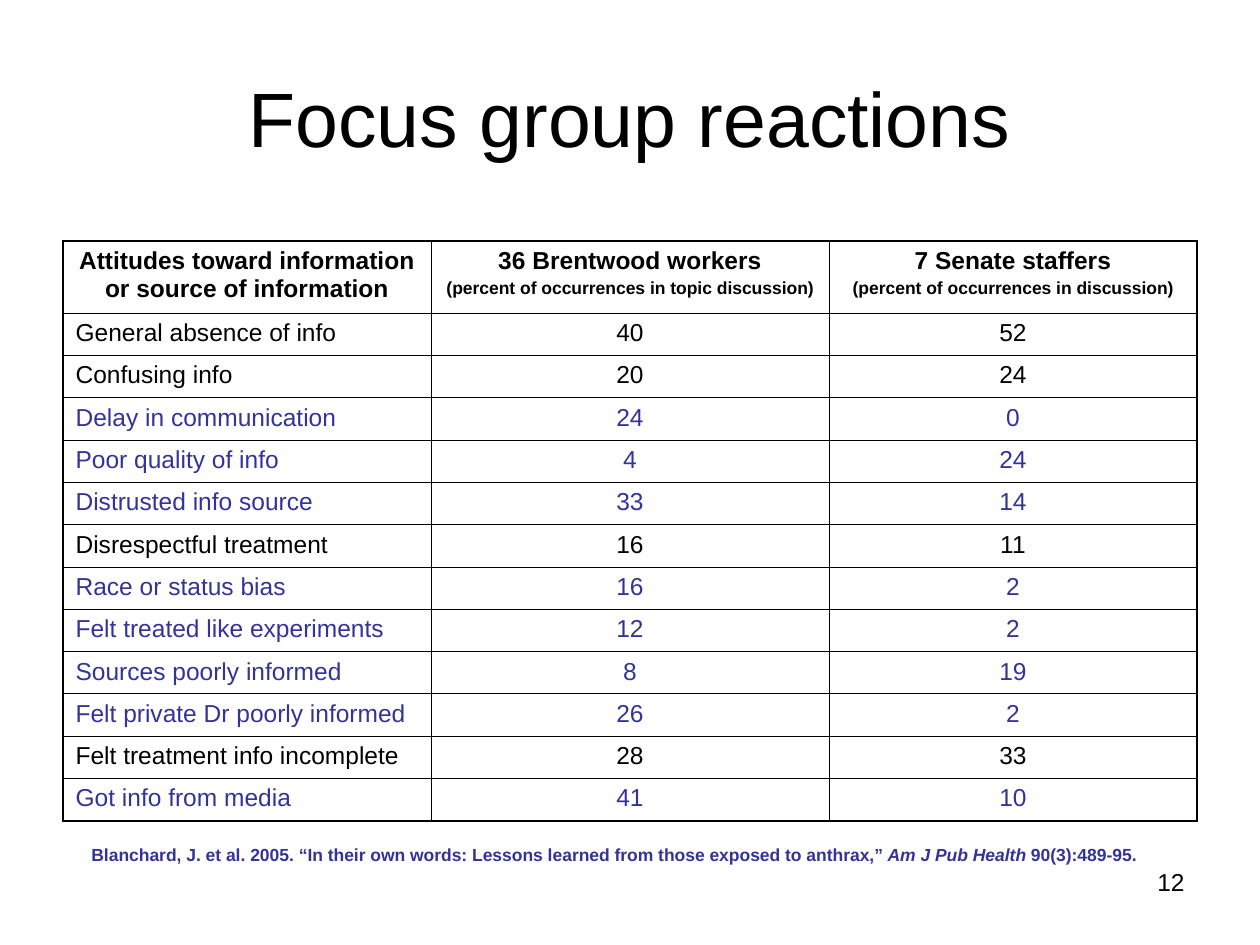
import pptx
import pptx.dml.color
import pptx.enum.text
import pptx.oxml
import pptx.oxml.ns
import pptx.util

PX = 914400 / 126
COLORS = {"black": "000000", "blue": "333399"}
ALIGN = pptx.enum.text.PP_ALIGN
THIN, THICK = 0.45, 1.08
COLUMNS = [368, 398, 368]
HEADER_HEIGHT, BODY_HEIGHT = 72, 508
HEADERS = [
    ["Attitudes toward information or source of information"],
    ["36 Brentwood workers", "(percent of occurrences in topic discussion)"],
    ["7 Senate staffers", "(percent of occurrences in discussion)"],
]
REACTIONS = [
    ("General absence of info", 40, 52, "black"),
    ("Confusing info", 20, 24, "black"),
    ("Delay in communication", 24, 0, "blue"),
    ("Poor quality of info", 4, 24, "blue"),
    ("Distrusted info source", 33, 14, "blue"),
    ("Disrespectful treatment", 16, 11, "black"),
    ("Race or status bias", 16, 2, "blue"),
    ("Felt treated like experiments", 12, 2, "blue"),
    ("Sources poorly informed", 8, 19, "blue"),
    ("Felt private Dr poorly informed", 26, 2, "blue"),
    ("Felt treatment info incomplete", 28, 33, "black"),
    ("Got info from media", 41, 10, "blue"),
]
CITATION = [
    ("Blanchard, J. et al. 2005. “In their own words: Lessons learned "
     "from those exposed to anthrax,” ", False),
    ("Am J Pub Health", True),
    (" 90(3):489-95.", False),
]


def px(n):
    """Turn pixels into EMU."""
    return pptx.util.Emu(round(n * PX))


def style(p, size, color="black", bold=False, align=ALIGN.CENTER, before=0):
    """Set the font, alignment and spacing of a paragraph."""
    p.alignment = align
    p.space_before = pptx.util.Pt(before)
    p.font.name = "Arial"
    p.font.size = pptx.util.Pt(size)
    p.font.bold = bold
    p.font.color.rgb = pptx.dml.color.RGBColor.from_string(COLORS[color])


def add_text(slide, box, runs, size, anchor=pptx.enum.text.MSO_ANCHOR.TOP, **look):
    """Add a one-paragraph text box from (text, italic) runs."""
    tf = slide.shapes.add_textbox(*map(px, box)).text_frame
    tf.word_wrap = True
    tf.vertical_anchor = anchor
    p = tf.paragraphs[0]
    style(p, size, **look)
    for text, italic in runs:
        r = p.add_run()
        r.text = text
        if italic:
            r.font.italic = True


def set_borders(cell, widths):
    """Draw the left, right, top and bottom borders of a cell."""
    tcPr = cell._tc.get_or_add_tcPr()
    for side, width in zip("LRTB", widths):
        tcPr.append(pptx.oxml.parse_xml(
            f'<a:ln{side} {pptx.oxml.ns.nsdecls("a")} w="{pptx.util.Pt(width)}">'
            f'<a:solidFill><a:srgbClr val="{COLORS["black"]}"/></a:solidFill>'
            f'</a:ln{side}>'))


def fill_cell(cell, lines, **look):
    """Write a main line and an optional small line into a cell."""
    tf = cell.text_frame
    tf.text = "\n".join(lines)
    for p, (size, before) in zip(tf.paragraphs, [(14, 3.5), (10, 2.5)]):
        style(p, size, before=before, **look)


def add_reactions_table(slide):
    """Add the table of reactions with a heavier outer frame."""
    last_row, last_col = len(REACTIONS), len(COLUMNS) - 1
    table = slide.shapes.add_table(
        last_row + 1, last_col + 1, px(63), px(241), px(sum(COLUMNS)),
        px(HEADER_HEIGHT + BODY_HEIGHT)).table
    table.first_row = table.horz_banding = False
    for column, width in zip(table.columns, COLUMNS):
        column.width = px(width)
    for i, row in enumerate(table.rows):
        row.height = px(BODY_HEIGHT / last_row if i else HEADER_HEIGHT)
        for j, cell in enumerate(row.cells):
            outer = (j == 0, j == last_col, i == 0, i == last_row)
            set_borders(cell, [THICK if edge else THIN for edge in outer])
            cell.fill.background()
            if i == 0:
                fill_cell(cell, HEADERS[j], bold=True)
            else:
                *values, color = REACTIONS[i - 1]
                fill_cell(cell, [str(values[j])], color=color,
                          align=ALIGN.CENTER if j else ALIGN.LEFT)


def main():
    """Build and save the slide."""
    prs = pptx.Presentation()
    prs.slide_width, prs.slide_height = px(1260), px(945)
    slide = prs.slides.add_slide(prs.slide_layouts[6])
    add_reactions_table(slide)
    add_text(slide, (63, 38, 1134, 157), [("Focus group reactions", False)], 44,
             anchor=pptx.enum.text.MSO_ANCHOR.MIDDLE)
    add_text(slide, (42, 838, 1144, 34), CITATION, 10, color="blue", bold=True,
             before=6.2)
    add_text(slide, (903, 861, 294, 65), [("12", False)], 14, align=ALIGN.RIGHT)
    prs.save("out.pptx")


if __name__ == "__main__":
    main()
